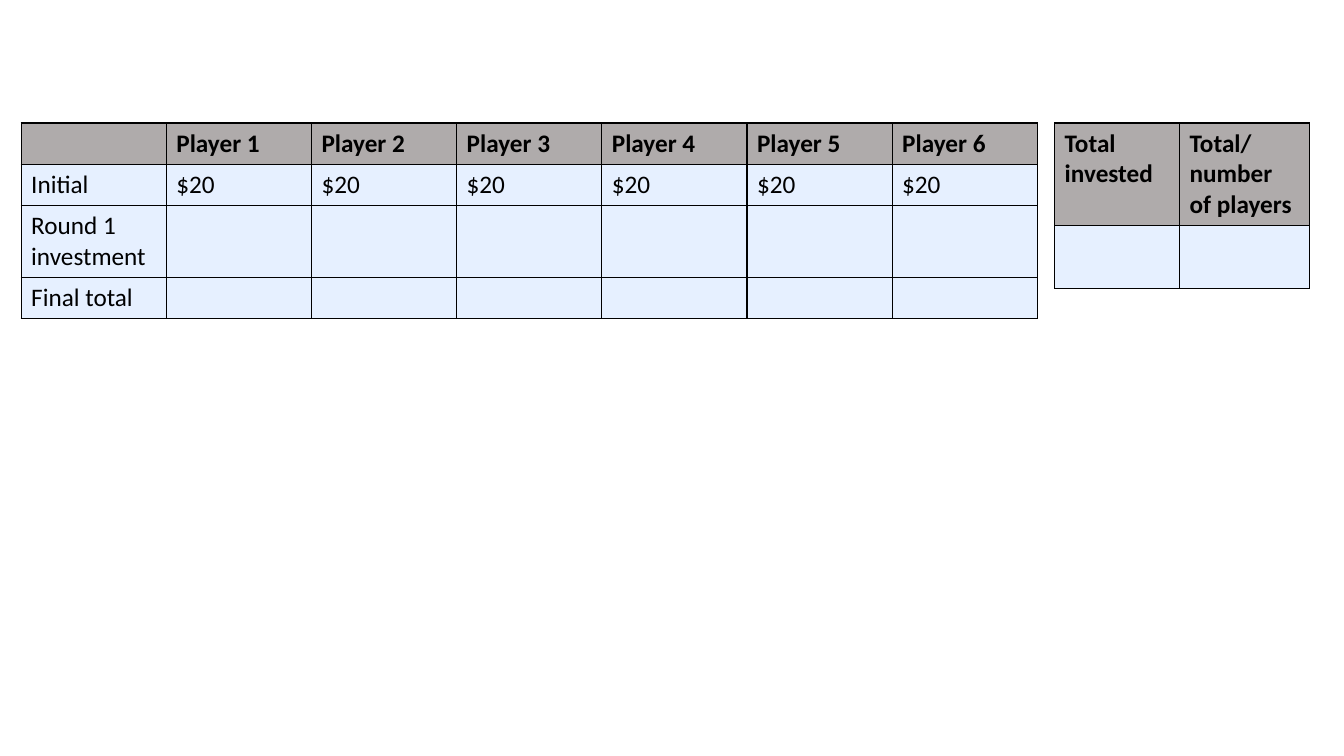
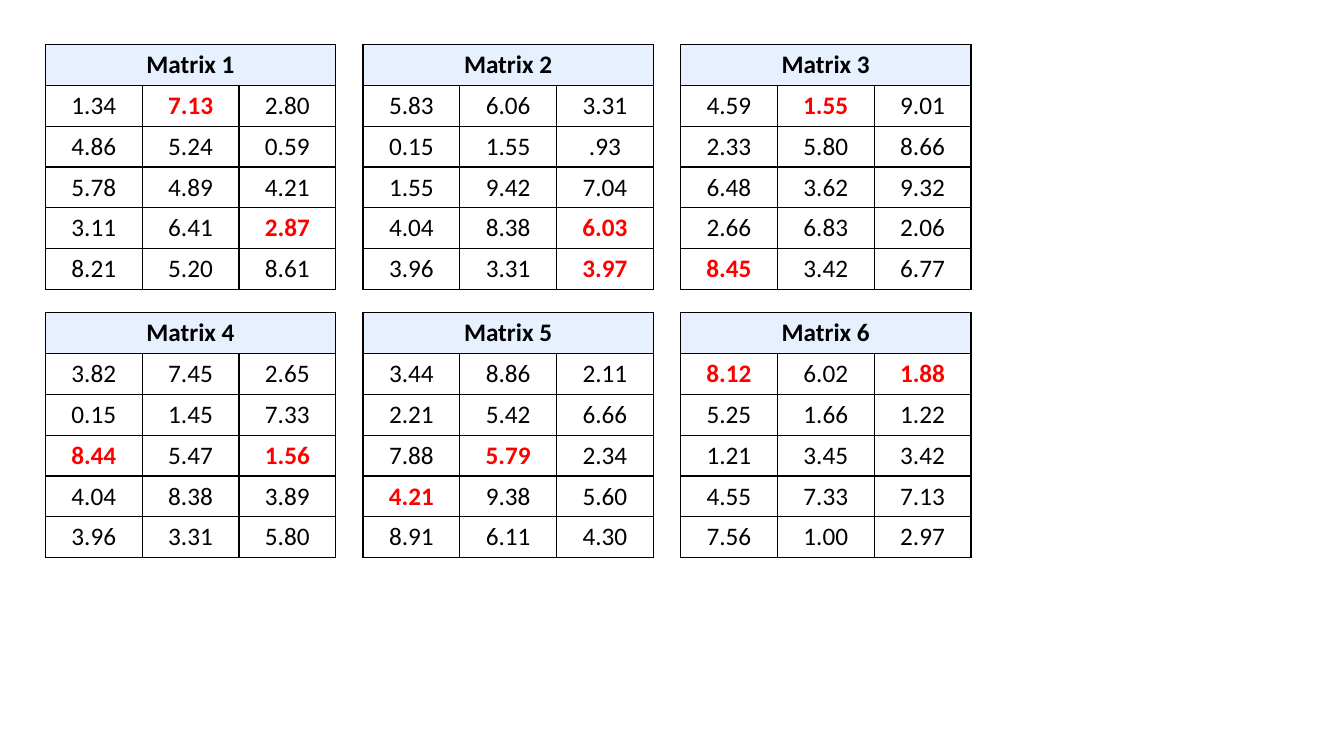
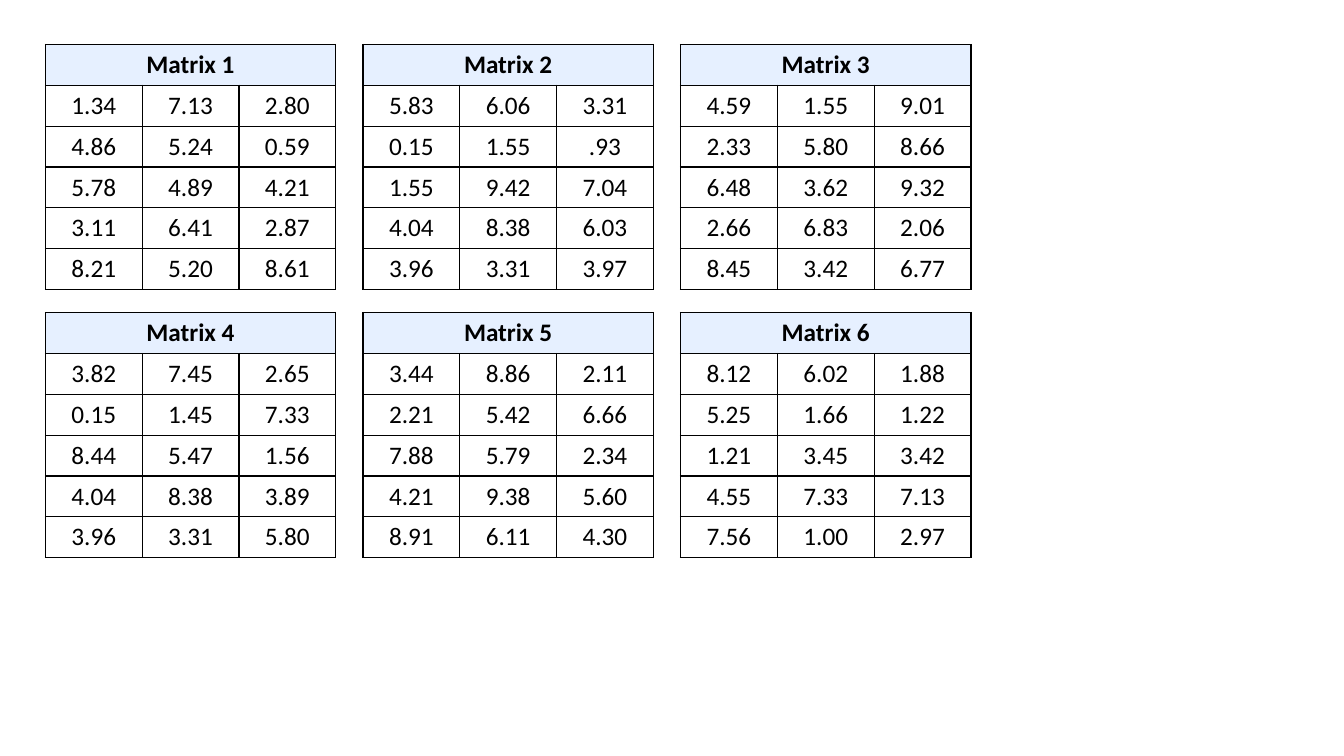
from lxml.etree import SubElement
from pptx import Presentation
from pptx.dml.color import RGBColor
from pptx.enum.text import PP_ALIGN
from pptx.oxml.ns import qn
from pptx.util import Pt

PX = 9144  # EMU per px, 100 px to the inch
FONT = "Calibri"
SIZE = 18
HUES = {"ink": "000000", "head": "AFABAB", "pale": "E6F0FF", "mark": "FF0000"}

HEADS = [""] + [f"Player {n}" for n in range(1, 7)]
BLANKS = [""] * 6
GAME = [HEADS, ["Initial"] + ["$20"] * 6,
        ["Round 1 investment"] + BLANKS, ["Final total"] + BLANKS]
TOTALS = [["Total invested", "Total/ number of players"], ["", ""]]

# A star flags a value that can be shown in bold red.
GRIDS = [
    """1.34 7.13* 2.80
       4.86 5.24 0.59
       5.78 4.89 4.21
       3.11 6.41 2.87*
       8.21 5.20 8.61""",
    """5.83 6.06 3.31
       0.15 1.55 .93
       1.55 9.42 7.04
       4.04 8.38 6.03*
       3.96 3.31 3.97*""",
    """4.59 1.55* 9.01
       2.33 5.80 8.66
       6.48 3.62 9.32
       2.66 6.83 2.06
       8.45* 3.42 6.77""",
    """3.82 7.45 2.65
       0.15 1.45 7.33
       8.44* 5.47 1.56*
       4.04 8.38 3.89
       3.96 3.31 5.80""",
    """3.44 8.86 2.11
       2.21 5.42 6.66
       7.88 5.79* 2.34
       4.21* 9.38 5.60
       8.91 6.11 4.30""",
    """8.12* 6.02 1.88*
       5.25 1.66 1.22
       1.21 3.45 3.42
       4.55 7.33 7.13
       7.56 1.00 2.97""",
]


def rgb(hue):
    return RGBColor.from_string(HUES[hue])


def put(cell, text, bold=False, hue="ink", align=PP_ALIGN.LEFT):
    para = cell.text_frame.paragraphs[0]
    para.alignment = align
    font = para.font
    if text:
        run = para.add_run()
        run.text = text
        font = run.font
    font.name, font.size, font.bold = FONT, Pt(SIZE), bold
    font.color.rgb = rgb(hue)


def frame(cell):
    """Draw a thin line on all four sides of the cell."""
    props = cell._tc.get_or_add_tcPr()
    for side in ("lnL", "lnR", "lnT", "lnB"):
        line = SubElement(props, qn(f"a:{side}"), w=str(Pt(1)))
        fill = SubElement(line, qn("a:solidFill"))
        SubElement(fill, qn("a:srgbClr"), val=HUES["ink"])


def paint(cell, hue):
    if hue:
        cell.fill.solid()
        cell.fill.fore_color.rgb = rgb(hue)
    else:
        cell.fill.background()


def add_grid(slide, left, top, cols, rows, head, body=None):
    """Add a framed table: first row in the head hue, the rest in body."""
    box = (left, top, sum(cols), sum(rows))
    table = slide.shapes.add_table(
        len(rows), len(cols), *(v * PX for v in box)).table
    table.first_row = table.horz_banding = False
    for col, width in zip(table.columns, cols):
        col.width = width * PX
    for i, (row, height) in enumerate(zip(table.rows, rows)):
        row.height = height * PX
        for cell in row.cells:
            frame(cell)
            paint(cell, body if i else head)
    return table


def add_sheet(slide, left, top, cols, rows, data):
    """Add a score sheet with a bold grey head row."""
    table = add_grid(slide, left, top, cols, rows, "head", "pale")
    for i, line in enumerate(data):
        for j, text in enumerate(line):
            put(table.cell(i, j), text, bold=i == 0)


def add_matrix(slide, left, top, title, grid, show):
    """Add a titled number table; show turns the flagged values red."""
    table = add_grid(slide, left, top, [96] * 3, [40] * 6, "pale")
    table.cell(0, 0).merge(table.cell(0, 2))
    put(table.cell(0, 0), title, bold=True, align=PP_ALIGN.CENTER)
    for i, line in enumerate(grid.splitlines(), 1):
        for j, text in enumerate(line.split()):
            hit = show and text.endswith("*")
            put(table.cell(i, j), text.rstrip("*"), bold=hit,
                hue="mark" if hit else "ink", align=PP_ALIGN.CENTER)


def add_board(slide, show):
    """Lay the matrices out in rows of three."""
    for n, grid in enumerate(GRIDS):
        row, col = divmod(n, 3)
        add_matrix(slide, 45 + 315 * col, 44 + 266 * row,
                   f"Matrix {n + 1}", grid, show)


def main():
    deck = Presentation()
    deck.slide_width, deck.slide_height = 1333 * PX, 750 * PX
    game, marked, plain = (
        deck.slides.add_slide(deck.slide_layouts[6]) for _ in range(3))
    add_sheet(game, 21, 122, [144] * 7, [41, 41, 71, 41], GAME)
    add_sheet(game, 1046, 122, [124, 129], [102, 62], TOTALS)
    add_board(marked, show=True)
    add_board(plain, show=False)
    deck.save("out.pptx")


if __name__ == "__main__":
    main()
